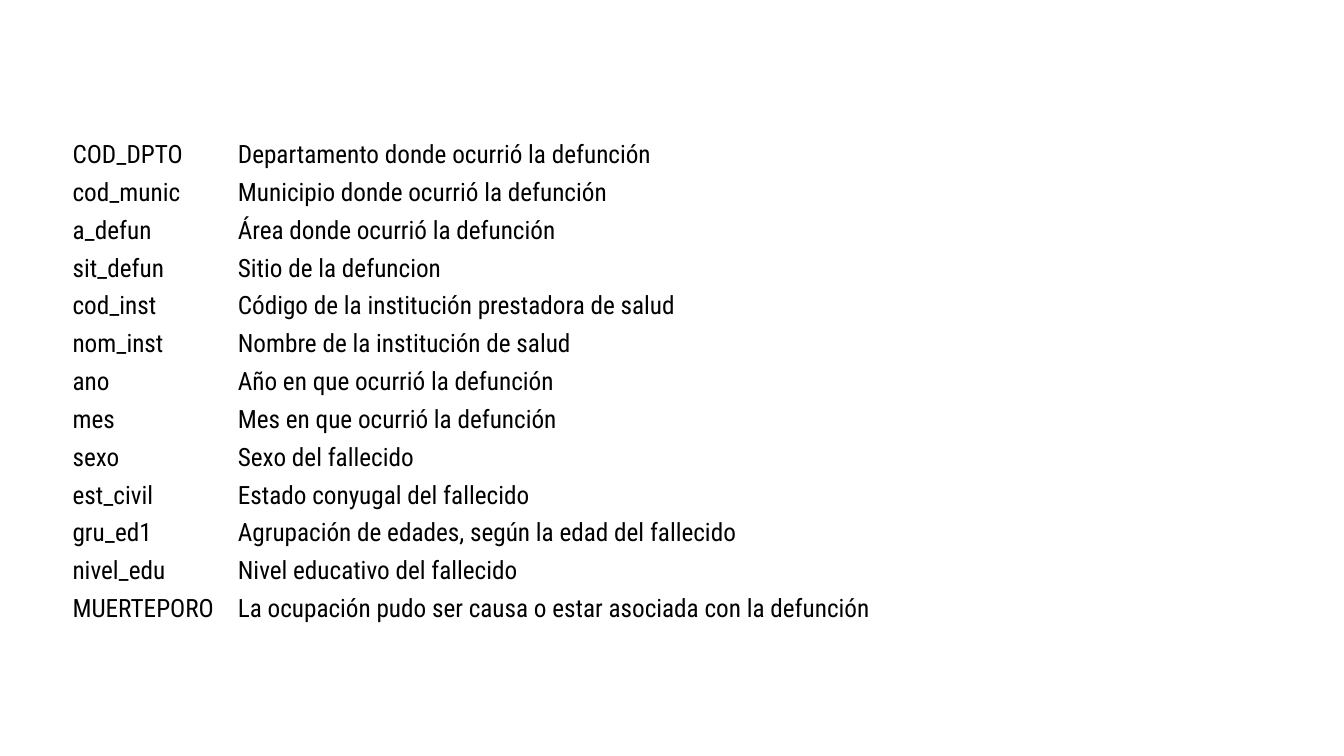
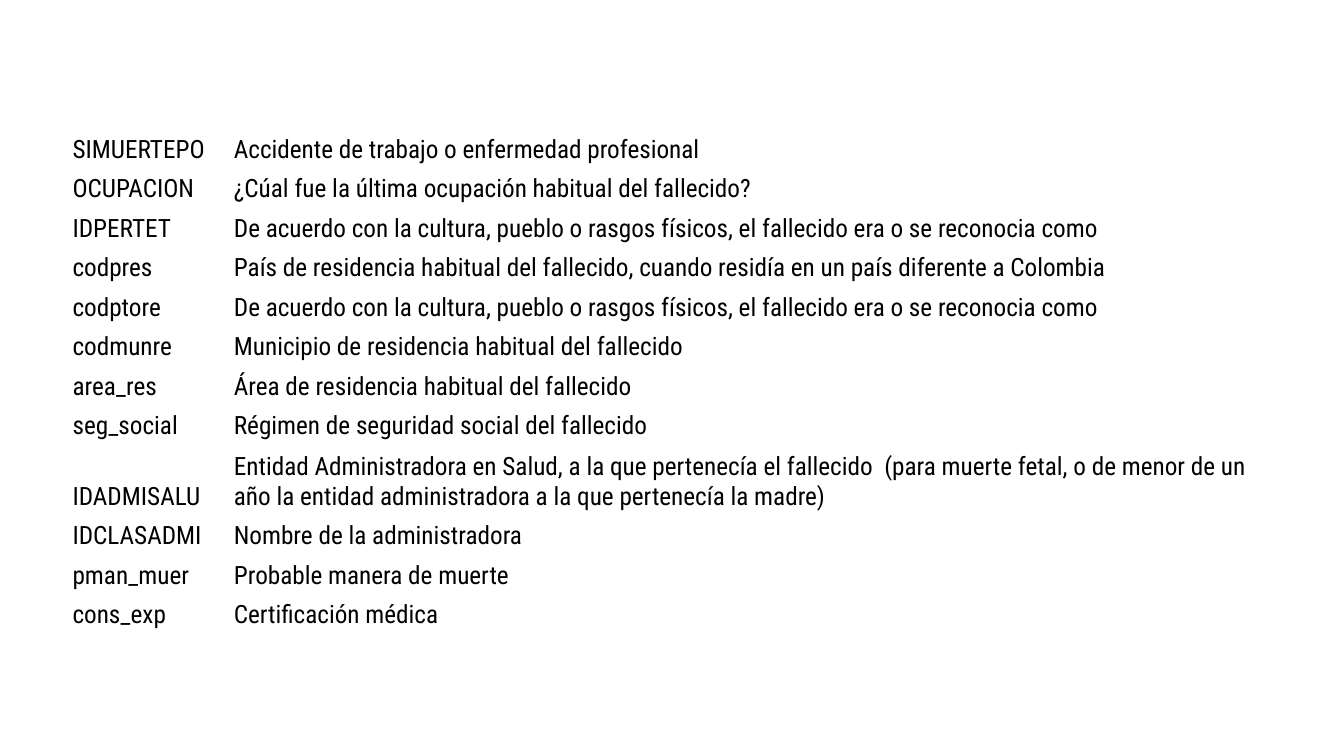
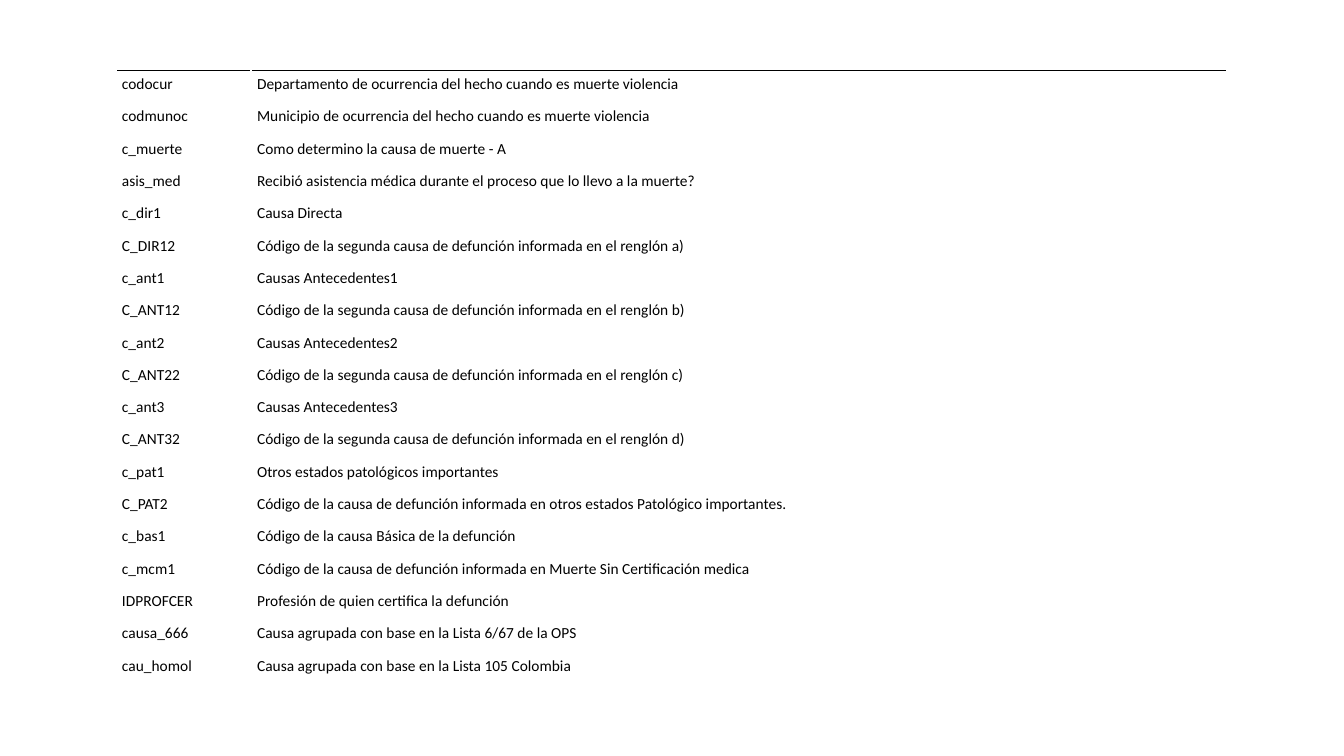
from dataclasses import dataclass

import lxml.etree
import pptx
import pptx.dml.color
import pptx.enum.text
import pptx.oxml.ns
import pptx.util

EMU_PER_PX = 9144


@dataclass(frozen=True)
class TableStyle:
    font: str
    size: int
    margins: dict
    rule_width: int = 0


class Theme:
    page_size = (1333, 750)
    ink = "000000"
    paper = "FFFFFF"
    large = TableStyle("Roboto Condensed", 18, dict(left=2, top=2, right=2, bottom=0))
    small = TableStyle("Calibri", 11, dict(left=6, top=1, right=5, bottom=9), rule_width=1)


DEATH_FIELDS = [
    ("COD_DPTO", "Departamento donde ocurrió la defunción"),
    ("cod_munic", "Municipio donde ocurrió la defunción"),
    ("a_defun", "Área donde ocurrió la defunción"),
    ("sit_defun", "Sitio de la defuncion"),
    ("cod_inst", "Código de la institución prestadora de salud"),
    ("nom_inst", "Nombre de la institución de salud"),
    ("ano", "Año en que ocurrió la defunción"),
    ("mes", "Mes en que ocurrió la defunción"),
    ("sexo", "Sexo del fallecido"),
    ("est_civil", "Estado conyugal del fallecido"),
    ("gru_ed1", "Agrupación de edades, según la edad del fallecido"),
    ("nivel_edu", "Nivel educativo del fallecido"),
    ("MUERTEPORO", "La ocupación pudo ser causa o estar asociada con la defunción"),
]

PERSON_FIELDS = [
    ("SIMUERTEPO", "Accidente de trabajo o enfermedad profesional"),
    ("OCUPACION", "¿Cúal fue la última ocupación habitual del fallecido?"),
    ("IDPERTET", "De acuerdo con la cultura, pueblo o rasgos físicos, "
                 "el fallecido era o se reconocia como"),
    ("codpres", "País de residencia habitual del fallecido, "
                "cuando residía en un país diferente a Colombia"),
    ("codptore", "De acuerdo con la cultura, pueblo o rasgos físicos, "
                 "el fallecido era o se reconocia como"),
    ("codmunre", "Municipio de residencia habitual del fallecido"),
    ("area_res", "Área de residencia habitual del fallecido"),
    ("seg_social", "Régimen de seguridad social del fallecido"),
    ("IDADMISALU", "Entidad Administradora en Salud, a la que pertenecía el fallecido  "
                   "(para muerte fetal, o de menor de un año la entidad administradora "
                   "a la que pertenecía la madre)"),
    ("IDCLASADMI", "Nombre de la administradora"),
    ("pman_muer", "Probable manera de muerte"),
    ("cons_exp", "Certificación médica"),
]

CAUSE_FIELDS = [
    ("codocur", "Departamento de ocurrencia del hecho cuando es muerte violencia"),
    ("codmunoc", "Municipio de ocurrencia del hecho cuando es muerte violencia"),
    ("c_muerte", "Como determino la causa de muerte - A"),
    ("asis_med", "Recibió asistencia médica durante el proceso que lo llevo a la muerte?"),
    ("c_dir1", "Causa Directa"),
    ("C_DIR12", "Código de la segunda causa de defunción informada en el renglón a)"),
    ("c_ant1", "Causas Antecedentes1"),
    ("C_ANT12", "Código de la segunda causa de defunción informada en el renglón b)"),
    ("c_ant2", "Causas Antecedentes2"),
    ("C_ANT22", "Código de la segunda causa de defunción informada en el renglón c)"),
    ("c_ant3", "Causas Antecedentes3"),
    ("C_ANT32", "Código de la segunda causa de defunción informada en el renglón d)"),
    ("c_pat1", "Otros estados patológicos importantes"),
    ("C_PAT2", "Código de la causa de defunción informada en otros estados "
               "Patológico importantes."),
    ("c_bas1", "Código de la causa Básica de la defunción"),
    ("c_mcm1", "Código de la causa de defunción informada en Muerte Sin Certificación medica"),
    ("IDPROFCER", "Profesión de quien certifica la defunción"),
    ("causa_666", "Causa agrupada con base en la Lista 6/67 de la OPS"),
    ("cau_homol", "Causa agrupada con base en la Lista 105 Colombia"),
]


def px(length):
    return pptx.util.Emu(round(length * EMU_PER_PX))


def rgb(value):
    return pptx.dml.color.RGBColor.from_string(value)


def apply_format(target, values):
    for name, value in values.items():
        setattr(target, name, value)


def add_page(deck):
    page = deck.slides.add_slide(deck.slide_layouts[6])
    page.background.fill.solid()
    page.background.fill.fore_color.rgb = rgb(Theme.paper)
    return page


def fill_cell(cell, text, style):
    cell.fill.background()
    cell.vertical_anchor = pptx.enum.text.MSO_ANCHOR.BOTTOM
    apply_format(cell, {f"margin_{side}": px(gap) for side, gap in style.margins.items()})
    span = cell.text_frame.paragraphs[0].add_run()
    span.text = text
    apply_format(span.font, dict(name=style.font, size=pptx.util.Pt(style.size)))
    span.font.color.rgb = rgb(Theme.ink)


def add_top_rule(cell, width):
    qn = pptx.oxml.ns.qn
    line = lxml.etree.Element(qn("a:lnT"), w=str(pptx.util.Pt(width)))
    fill = lxml.etree.SubElement(line, qn("a:solidFill"))
    lxml.etree.SubElement(fill, qn("a:srgbClr"), val=Theme.ink)
    cell._tc.get_or_add_tcPr().insert(0, line)


def add_field_table(page, fields, frame, code_width, style, tall_rows=None):
    """Share the height equally among the rows that tall_rows does not fix."""
    tall_rows = tall_rows or {}
    left, top, width, height = frame
    table = page.shapes.add_table(len(fields), 2, *map(px, frame)).table
    apply_format(table, dict(first_row=False, horz_banding=False))
    for column, column_width in zip(table.columns, (code_width, width - code_width)):
        column.width = px(column_width)
    equal_height = (height - sum(tall_rows.values())) / (len(fields) - len(tall_rows))
    for index, (row, field) in enumerate(zip(table.rows, fields)):
        row.height = px(tall_rows.get(field[0], equal_height))
        for cell, text in zip(row.cells, field):
            fill_cell(cell, text, style)
            if index == 0 and style.rule_width:
                add_top_rule(cell, style.rule_width)


def main():
    deck = pptx.Presentation()
    deck.slide_width, deck.slide_height = map(px, Theme.page_size)
    add_field_table(add_page(deck), DEATH_FIELDS, (70, 131, 1193, 488), 164, Theme.large)
    add_field_table(add_page(deck), PERSON_FIELDS, (70, 124, 1193, 501), 160, Theme.large,
                    tall_rows={"IDADMISALU": 70})
    add_field_table(add_page(deck), CAUSE_FIELDS, (115, 70, 1102, 609), 134, Theme.small)
    deck.save("out.pptx")


if __name__ == "__main__":
    main()
